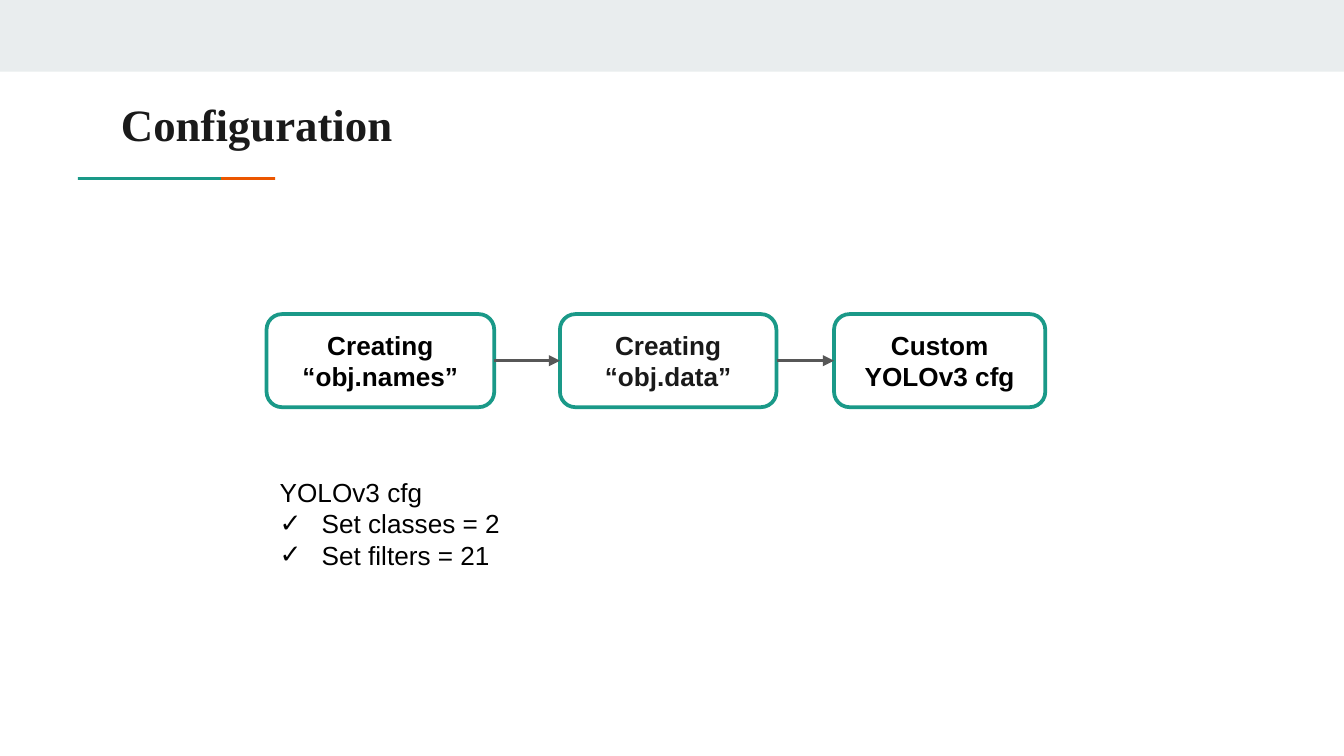
from lxml import etree
from pptx import Presentation
from pptx.dml.color import RGBColor
from pptx.enum import shapes, text
from pptx.oxml import ns
from pptx.util import Pt

WIDTH, HEIGHT = 720, 405
GREEN, ORANGE, GREY = "1A9988", "EB5600", "575757"
BLACK, INK, WHITE, BAND = "000000", "1A1A1A", "FFFFFF", "E9EDEE"
STEPS = [  # left offset, width, label, text colour
    (0, 122, "Creating “obj.names”", BLACK),
    (157.2, 116, "Creating “obj.data”", INK),
    (304, 113.2, "Custom YOLOv3 cfg", BLACK),
]
SETTINGS = ["Set classes = 2", "Set filters = 21"]


def colour(value):
    return RGBColor.from_string(value)


def place(shape, left, top, width, height):
    shape.left, shape.top = Pt(left), Pt(top)
    shape.width, shape.height = Pt(width), Pt(height)


def style(paragraph, size, font, ink, bold=False):
    for run in paragraph.runs:
        run.font.size = Pt(size)
        run.font.name = font
        run.font.bold = bold
        run.font.color.rgb = colour(ink)


def add_filled(slide, kind, left, top, width, height, fill):
    shape = slide.shapes.add_shape(kind, Pt(left), Pt(top), Pt(width), Pt(height))
    shape.shadow.inherit = False
    shape.fill.solid()
    shape.fill.fore_color.rgb = colour(fill)
    shape.line.fill.background()
    return shape


def add_backdrop(slide, left, top, width):
    """Top band and the two-colour rule under the title."""
    rect = shapes.MSO_SHAPE.RECTANGLE
    add_filled(slide, rect, left, top, width, 38.4, BAND)
    add_filled(slide, rect, left + 41.8, top + 94.9, 76.6, 1.5, GREEN)
    add_filled(slide, rect, left + 118.4, top + 94.9, 29, 1.5, ORANGE)


def add_title(slide, left, top, width, height):
    title = slide.shapes.title
    place(title, left, top, width, height)
    frame = title.text_frame
    frame.text = "Configuration"
    frame.auto_size = text.MSO_AUTO_SIZE.NONE
    frame.vertical_anchor = text.MSO_ANCHOR.TOP
    frame.margin_left = frame.margin_right = Pt(7.2)
    frame.margin_top = frame.margin_bottom = Pt(7.2)
    heading = frame.paragraphs[0]
    heading.alignment = text.PP_ALIGN.LEFT
    style(heading, 24, "Times New Roman", INK, bold=True)


def add_step(slide, left, top, width, height, label, ink):
    step = add_filled(slide, shapes.MSO_SHAPE.ROUNDED_RECTANGLE,
                      left, top, width, height, WHITE)
    step.line.color.rgb = colour(GREEN)
    step.line.width = Pt(2)
    frame = step.text_frame
    frame.text = label
    frame.word_wrap = True
    frame.vertical_anchor = text.MSO_ANCHOR.MIDDLE
    frame.paragraphs[0].alignment = text.PP_ALIGN.CENTER
    style(frame.paragraphs[0], 14, "Arial", ink, bold=True)
    return step


def add_arrow(slide, source, target):
    arrow = slide.shapes.add_connector(shapes.MSO_CONNECTOR.STRAIGHT, 0, 0, 0, 0)
    arrow.begin_connect(source, 3)
    arrow.end_connect(target, 1)
    arrow.line.color.rgb = colour(GREY)
    arrow.line.width = Pt(1.5)
    etree.SubElement(arrow.line._get_or_add_ln(), ns.qn("a:tailEnd"), type="triangle")
    etree.SubElement(arrow._element.spPr, ns.qn("a:effectLst"))


def add_flow(slide, left, top, height):
    steps = [add_step(slide, left + offset, top, width, height, label, ink)
             for offset, width, label, ink in STEPS]
    for source, target in zip(steps, steps[1:]):
        add_arrow(slide, source, target)


def set_bullet(paragraph, mark=None, indent=0):
    """Give the paragraph a hanging bullet, or none without a mark."""
    props = paragraph._p.get_or_add_pPr()
    props.set("marL", str(Pt(indent)))
    props.set("indent", str(-Pt(indent)))
    if not mark:
        etree.SubElement(props, ns.qn("a:buNone"))
        return
    bullet_colour = etree.SubElement(props, ns.qn("a:buClr"))
    etree.SubElement(bullet_colour, ns.qn("a:srgbClr"), val=BLACK)
    etree.SubElement(props, ns.qn("a:buFont"), typeface="Arial")
    etree.SubElement(props, ns.qn("a:buChar"), char=mark)


def add_settings(slide, left, top, width, height):
    body = slide.placeholders[1]
    place(body, left, top, width, height)
    frame = body.text_frame
    frame.text = "\n".join(["YOLOv3 cfg", *SETTINGS])
    frame.auto_size = text.MSO_AUTO_SIZE.NONE
    for index, paragraph in enumerate(frame.paragraphs):
        paragraph.space_before = Pt(0)
        style(paragraph, 14, "Arial", BLACK)
        if index:
            set_bullet(paragraph, "✓", 22.5)
        else:
            set_bullet(paragraph)


def main():
    deck = Presentation()
    deck.slide_width, deck.slide_height = Pt(WIDTH), Pt(HEIGHT)
    slide = deck.slides.add_slide(deck.slide_layouts[1])
    add_backdrop(slide, 0, 0, WIDTH)
    add_title(slide, 57.6, 44.6, 605.5, 33.8)
    add_flow(slide, 142.8, 168.3, 49.9)
    add_settings(slide, 142.6, 251.6, 344.9, 74.9)
    deck.save("out.pptx")


if __name__ == "__main__":
    main()
